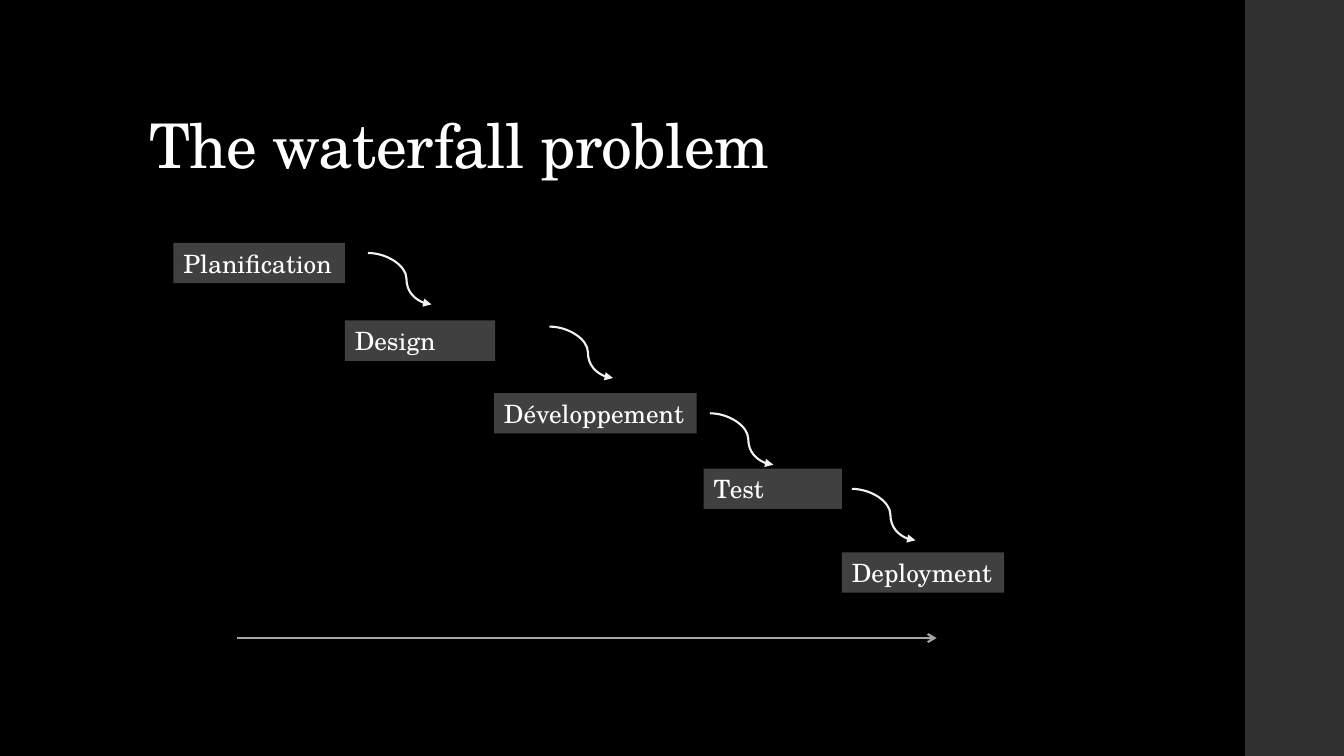
from lxml import etree
from pptx import Presentation
from pptx import util as u
from pptx.dml.color import RGBColor
from pptx.enum import shapes, text
from pptx.oxml.ns import qn

FONT = "TeX Gyre Schola"
WIDTH, HEIGHT = 13.33, 7.5

# label, left, top, width, wraps
STEPS = [
    ("Planification", 1.72, 2.41, 1.7, False),
    ("Design", 3.42, 3.18, 1.49, True),
    ("Développement", 4.9, 3.9, 2.01, False),
    ("Test", 6.98, 4.65, 1.37, True),
    ("Deployment", 8.35, 5.48, 1.61, False),
]
DROPS = [(3.65, 2.51), (5.45, 3.24), (7.04, 4.1), (8.45, 4.85)]


def color(code):
    return RGBColor.from_string(code)


def write(frame, words, size, **formats):
    """Put one left-aligned white paragraph in a text frame."""
    for name, value in formats.items():
        setattr(frame, name, value)
    line = frame.paragraphs[0]
    line.alignment = text.PP_ALIGN.LEFT
    run = line.add_run()
    run.text = words
    for name, value in {"name": FONT, "size": u.Pt(size)}.items():
        setattr(run.font, name, value)
    run.font.color.rgb = color("FFFFFF")
    return line, run


def panel(slide, box, fill):
    shape = slide.shapes.add_shape(shapes.MSO_SHAPE.RECTANGLE, *map(u.Inches, box))
    shape.shadow.inherit = False
    shape.fill.solid()
    shape.fill.fore_color.rgb = color(fill)
    shape.line.fill.background()
    return shape


def arrow(slide, kind, start, end, ink, head):
    link = slide.shapes.add_connector(kind, *map(u.Inches, start + end))
    link.line.color.rgb = color(ink)
    link.line.width = u.Pt(1.5)
    props = link.line._get_or_add_ln()
    etree.SubElement(props, qn("a:tailEnd"), type=head)
    etree.SubElement(link._element.spPr, qn("a:effectLst"))
    return link


def title(slide, box, words):
    shape = slide.shapes.add_textbox(*map(u.Inches, box))
    line, run = write(shape.text_frame, words, 44, word_wrap=True,
                      vertical_anchor=text.MSO_ANCHOR.BOTTOM)
    line.line_spacing = 0.9
    run.font._element.set("spc", "-50")


def step(slide, box, words, wrap):
    shape = panel(slide, box, "404040")
    write(shape.text_frame, words, 18, word_wrap=wrap,
          auto_size=text.MSO_AUTO_SIZE.SHAPE_TO_FIT_TEXT,
          vertical_anchor=text.MSO_ANCHOR.TOP)


def drop(slide, box):
    """Draw a curved arrow from the top left to the bottom right of the box."""
    left, top, width, height = box
    link = arrow(slide, shapes.MSO_CONNECTOR.CURVE, (left, top),
                 (left + width, top + height), "F2F2F2", "triangle")
    bends = link._element.spPr.find(qn("a:prstGeom")).find(qn("a:avLst"))
    etree.SubElement(bends, qn("a:gd"), name="adj1", fmla="val 60600")


def main():
    deck = Presentation()
    deck.slide_width, deck.slide_height = u.Inches(WIDTH), u.Inches(HEIGHT)
    slide = deck.slides.add_slide(deck.slide_layouts[6])
    back = slide.background.fill
    back.solid()
    back.fore_color.rgb = color("000000")

    panel(slide, (12.35, 0, WIDTH - 12.35, HEIGHT), "303030")
    title(slide, (1.38, 0.4, 10.6, 1.45), "The waterfall problem")
    for words, left, top, width, wrap in STEPS:
        step(slide, (left, top, width, 0.4), words, wrap)
    for left, top in DROPS:
        drop(slide, (left, top, 0.63, 0.51))
    arrow(slide, shapes.MSO_CONNECTOR.STRAIGHT, (2.35, 6.33), (9.29, 6.33),
          "A6A6A6", "arrow")
    deck.save("out.pptx")


if __name__ == "__main__":
    main()
